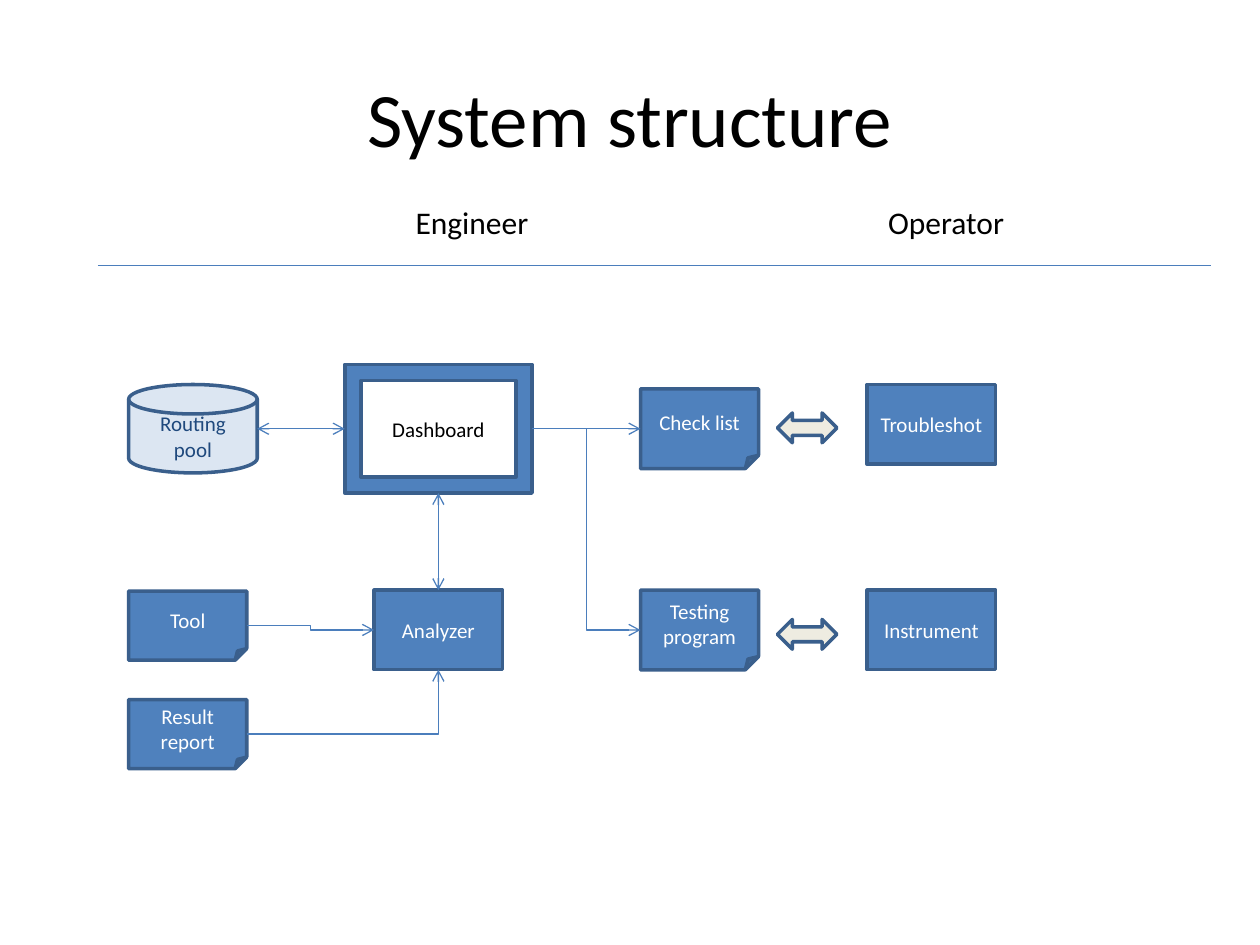
from lxml.etree import SubElement
from pptx import Presentation
from pptx.dml.color import RGBColor
from pptx.enum.shapes import MSO_CONNECTOR, MSO_SHAPE
from pptx.enum.text import MSO_ANCHOR, PP_ALIGN
from pptx.oxml.ns import qn
from pptx.util import Pt

COLORS = {
    "blue": "4F81BD", "border": "3A5F8C", "link": "4B7EBC", "pale": "DCE6F2",
    "cream": "EEECE1", "navy": "1F497D", "black": "000000", "white": "FFFFFF",
}
TOP, LEFT, BOTTOM, RIGHT = range(4)
FIRST_ROW, SECOND_ROW = 37, 152  # row centres below the top of the flow


def color(name):
    return RGBColor.from_string(COLORS[name])


def write(frame, text, size=12, ink="white", align=PP_ALIGN.CENTER,
          anchor=MSO_ANCHOR.MIDDLE, wrap=True):
    frame.word_wrap = wrap
    frame.vertical_anchor = anchor
    for index, line in enumerate(text.split("\n")):
        para = frame.paragraphs[0] if index == 0 else frame.add_paragraph()
        para.alignment = align
        span = para.add_run()
        span.text = line
        span.font.name = "Calibri"
        span.font.size = Pt(size)
        span.font.color.rgb = color(ink)


def add_label(page, box, text, **style):
    left, top, width, height = box
    label = page.shapes.add_textbox(Pt(left), Pt(top), Pt(width), Pt(height))
    write(label.text_frame, text, **style)


def add_node(page, kind, left, middle, width, height, text="", fill="blue", ink="white"):
    """Add an outlined shape centred vertically on middle."""
    node = page.shapes.add_shape(kind, Pt(left), Pt(middle - height / 2),
                                 Pt(width), Pt(height))
    node.shadow.inherit = False
    node.fill.solid()
    node.fill.fore_color.rgb = color(fill)
    node.line.color.rgb = color("border")
    node.line.width = Pt(2)
    if text:
        write(node.text_frame, text, ink=ink)
    return node


def add_line(page, kind=MSO_CONNECTOR.STRAIGHT, start=(0, 0), end=(0, 0),
             begin_at=None, end_at=None, arrows=()):
    """Draw a line from start to end; begin_at and end_at are (shape, side) joints."""
    line = page.shapes.add_connector(kind, *map(Pt, (*start, *end)))
    if begin_at:
        line.begin_connect(*begin_at)
    if end_at:
        line.end_connect(*end_at)
    line.line.color.rgb = color("link")
    line.line.width = Pt(0.75)
    outline = line.line._get_or_add_ln()
    for arrow in arrows:
        SubElement(outline, qn(f"a:{arrow}"), type="arrow")
    SubElement(line._element.spPr, qn("a:effectLst"))
    return line


def add_heading(page, left, top, width):
    add_label(page, (left, top, width, 90), "System structure", size=44, ink="black")
    for text, offset in (("Engineer", 194.4), ("Operator", 464.4)):
        add_label(page, (left + offset, top + 90.6, 81, 29), text, size=18, ink="black",
                  align=PP_ALIGN.LEFT, anchor=MSO_ANCHOR.TOP, wrap=False)
    rule = top + 130.3
    add_line(page, start=(left + 20, rule), end=(left + 656, rule))


def add_engineer_flow(page, left, top):
    first, second = top + FIRST_ROW, top + SECOND_ROW
    add_node(page, MSO_SHAPE.FLOWCHART_MAGNETIC_DISK, left, first, 73.5, 50.5,
             "Routing\npool", fill="pale", ink="navy")
    dashboard = add_node(page, MSO_SHAPE.FRAME, left + 123.5, first, 107, 73.5,
                         "Dashboard", ink="black")
    analyzer = add_node(page, MSO_SHAPE.RECTANGLE, left + 140.25, second, 73.5, 45.5,
                        "Analyzer")
    source, report = [
        add_node(page, MSO_SHAPE.FOLDED_CORNER, left, top + middle, 67.5, 39.5, text)
        for text, middle in (("Tool", 149.5), ("Result report", 211.5))
    ]
    both = ("headEnd", "tailEnd")
    add_line(page, start=(left + 73.5, first), end_at=(dashboard, LEFT), arrows=both)
    add_line(page, begin_at=(dashboard, BOTTOM), end_at=(analyzer, TOP), arrows=both)
    add_line(page, MSO_CONNECTOR.ELBOW, begin_at=(source, RIGHT),
             end_at=(analyzer, LEFT), arrows=["tailEnd"])
    corner = add_line(page, MSO_CONNECTOR.ELBOW, begin_at=(report, RIGHT),
                      end_at=(analyzer, BOTTOM), arrows=["tailEnd"])
    corner._element.spPr.find(qn("a:prstGeom")).set("prst", "bentConnector2")
    return dashboard


def add_operator_flow(page, left, top, dashboard):
    rows = (
        ("Check list", FIRST_ROW, "Troubleshot", 34.5, 36.5, MSO_CONNECTOR.STRAIGHT),
        ("Testing\nprogram", SECOND_ROW, "Instrument", 152, 154.5, MSO_CONNECTOR.ELBOW),
    )
    for text, middle, task, task_middle, arrow_middle, kind in rows:
        note = add_node(page, MSO_SHAPE.FOLDED_CORNER, left, top + middle, 67.5, 45.5, text)
        add_node(page, MSO_SHAPE.LEFT_RIGHT_ARROW, left + 78.25, top + arrow_middle,
                 34, 17, fill="cream")
        add_node(page, MSO_SHAPE.RECTANGLE, left + 129.5, top + task_middle, 73.5, 45.5, task)
        add_line(page, kind, begin_at=(dashboard, RIGHT), end_at=(note, LEFT),
                 arrows=["tailEnd"])


def main():
    deck = Presentation()
    deck.slide_width, deck.slide_height = Pt(720), Pt(540)
    page = deck.slides.add_slide(deck.slide_layouts[6])
    add_heading(page, 36, 21.6, 648)
    dashboard = add_engineer_flow(page, 73.5, 208)
    add_operator_flow(page, 366, 208, dashboard)
    deck.save("out.pptx")


if __name__ == "__main__":
    main()
